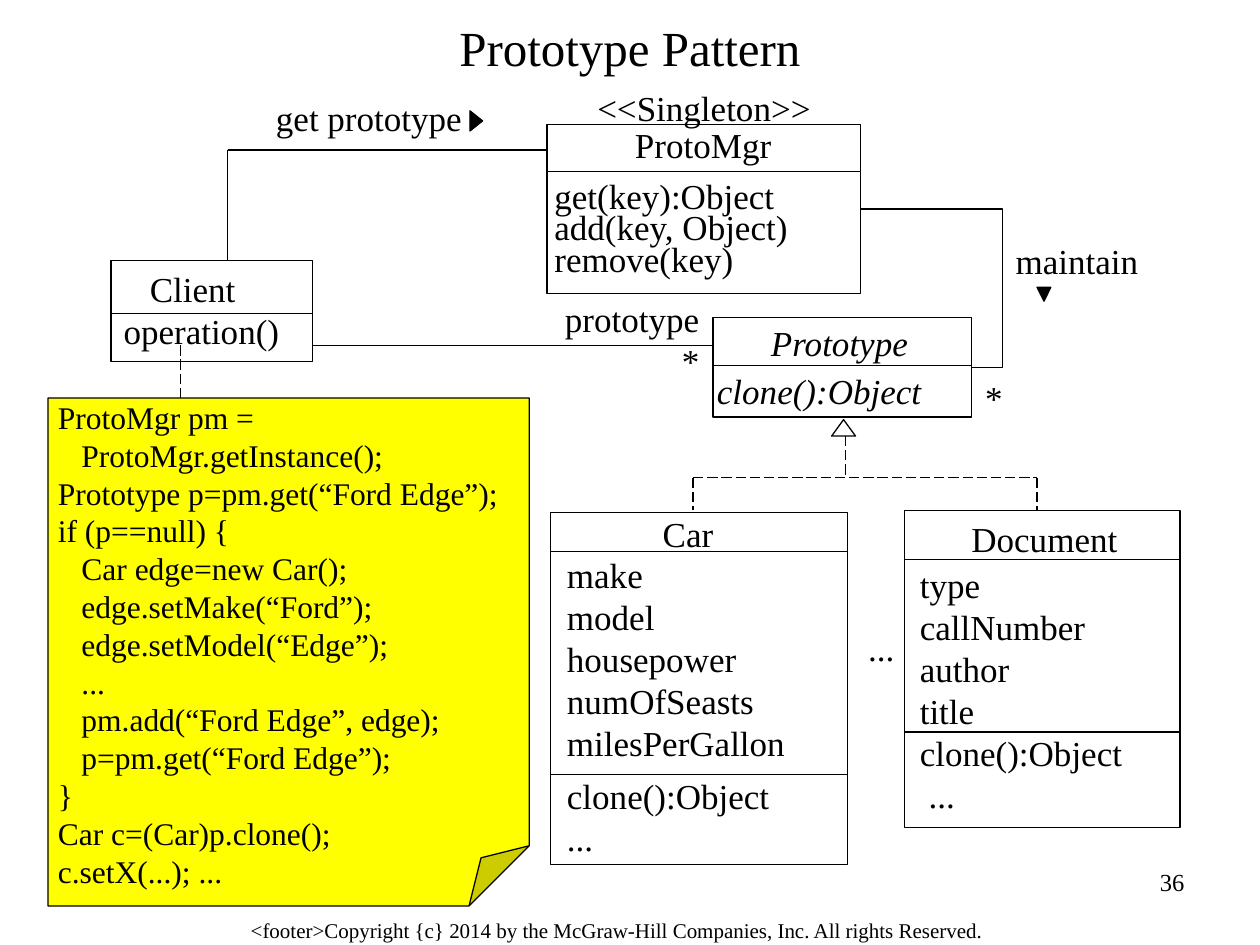
from lxml import etree
from pptx import Presentation
from pptx.dml.color import RGBColor
from pptx.enum.dml import MSO_LINE
from pptx.enum.shapes import MSO_CONNECTOR as Connector, MSO_SHAPE as Shape
from pptx.enum.text import MSO_ANCHOR as Anchor, PP_ALIGN as Align
from pptx.oxml.ns import qn
from pptx.util import Pt

BLACK = RGBColor(0x00, 0x00, 0x00)
YELLOW = RGBColor(0xFF, 0xFF, 0x00)
FONT = "Times New Roman"
LINE_WIDTH = 0.75

NOTE_CODE = """ProtoMgr pm =
   ProtoMgr.getInstance();
Prototype p=pm.get(“Ford Edge”);
if (p==null) {
   Car edge=new Car();
   edge.setMake(“Ford”);
   edge.setModel(“Edge”);
   ...
   pm.add(“Ford Edge”, edge);
   p=pm.get(“Ford Edge”);
}
Car c=(Car)p.clone();
c.setX(...); ..."""


def add_text(slide, text, left, top, width, size=20, align=Align.LEFT,
             italic=False, spacing=None, height=None):
    """Add a text box without insets, one paragraph for each line of text."""
    lines = text.split("\n")
    box_height = height or len(lines) * size * 1.2
    box = slide.shapes.add_textbox(Pt(left), Pt(top), Pt(width), Pt(box_height))
    frame = box.text_frame
    frame.word_wrap = True
    frame.margin_left = frame.margin_right = 0
    frame.margin_top = frame.margin_bottom = 0
    frame.vertical_anchor = Anchor.MIDDLE if height else Anchor.TOP
    frame.text = text
    for paragraph in frame.paragraphs:
        paragraph.alignment = align
        paragraph.line_spacing = spacing
        font = paragraph.font
        font.name, font.size, font.italic = FONT, Pt(size), italic
        font.color.rgb = BLACK


def add_outline(slide, kind, left, top, width, height, fill=None, rotation=0):
    shape = slide.shapes.add_shape(kind, Pt(left), Pt(top), Pt(width), Pt(height))
    shape.shadow.inherit = False
    shape.rotation = rotation
    shape.line.color.rgb = BLACK
    shape.line.width = Pt(LINE_WIDTH)
    if fill is None:
        shape.fill.background()
    else:
        shape.fill.solid()
        shape.fill.fore_color.rgb = fill
    return shape


def add_line(slide, x1, y1, x2, y2, dashed=False, kind=Connector.STRAIGHT):
    line = slide.shapes.add_connector(kind, Pt(x1), Pt(y1), Pt(x2), Pt(y2))
    line.line.color.rgb = BLACK
    line.line.width = Pt(LINE_WIDTH)
    if dashed:
        line.line.dash_style = MSO_LINE.LONG_DASH
    etree.SubElement(line._element.spPr, qn("a:effectLst"))
    return line


def set_adjustment(shape, name, share):
    geometry = shape._element.spPr.find(qn("a:prstGeom"))
    etree.SubElement(geometry.find(qn("a:avLst")), qn("a:gd"), name=name,
                     fmla=f"val {round(share * 100000)}")


def add_class_box(slide, left, top, width, height, *dividers):
    """Add a class rectangle with a line across it at each divider height."""
    add_outline(slide, Shape.RECTANGLE, left, top, width, height)
    for y in dividers:
        add_line(slide, left, y, left + width, y)


def add_classes(slide):
    add_class_box(slide, 312.5, 71.3, 179.3, 96.5, 97.9)
    add_text(slide, "<<Singleton>>", 341.3, 49.7, 135)
    add_text(slide, "ProtoMgr", 350, 70.6, 103.7, align=Align.CENTER)
    add_text(slide, "get(key):Object\nadd(key, Object)\nremove(key)",
             316.8, 105.1, 160, spacing=0.75)

    add_class_box(slide, 63.4, 149, 115.2, 57.6, 179.3)
    add_text(slide, "Client", 85.6, 152.6, 80)
    add_text(slide, "operation()", 70.6, 176.6, 105)

    add_class_box(slide, 407.5, 181.4, 147.6, 56.9, 208.8)
    add_text(slide, "Prototype", 440.6, 183.6, 100, italic=True)
    add_text(slide, "clone():Object", 409.7, 211, 140, italic=True)

    add_class_box(slide, 314.6, 293, 169.9, 200.9, 315, 442.4)
    add_text(slide, "Car", 378.7, 293, 50)
    add_text(slide, "make\nmodel\nhousepower\nnumOfSeasts\nmilesPerGallon",
             324, 316.1, 150)
    add_text(slide, "clone():Object\n...", 324, 442.8, 150)

    add_class_box(slide, 517, 291.6, 157.3, 181.4, 319.7, 418.3)
    add_text(slide, "Document", 555.1, 295.9, 105)
    add_text(slide, "type\ncallNumber\nauthor\ntitle\nclone():Object",
             525.6, 321.8, 140)
    add_text(slide, "...", 530.6, 441.8, 40)
    add_text(slide, "...", 496.1, 357.8, 18)


def add_associations(slide):
    add_line(slide, 130.1, 85.7, 312.5, 85.7)
    add_line(slide, 130.1, 85.7, 130.1, 149)
    add_text(slide, "get prototype", 157.7, 55.4, 112)
    add_outline(slide, Shape.ISOSCELES_TRIANGLE, 266.4, 65.5, 11.5, 7.2, BLACK, 90)

    elbow = add_line(slide, 555.1, 210.2, 491.8, 119.5, kind=Connector.ELBOW)
    set_adjustment(elbow, "adj1", -0.28)
    add_text(slide, "maintain", 580.3, 136.8, 90)
    add_outline(slide, Shape.ISOSCELES_TRIANGLE, 592.6, 164.2, 7.9, 7.9, BLACK, 180)
    add_text(slide, "*", 563, 215.3, 15)

    add_line(slide, 178.6, 197.3, 408, 197.3)
    add_text(slide, "prototype\n*", 310, 169.9, 89.6, align=Align.RIGHT)


def add_inheritance(slide):
    bar_y, root_x, child_xs = 272.9, 483.1, (396, 592.6)
    add_outline(slide, Shape.ISOSCELES_TRIANGLE, 475.2, 239.8, 13.7, 9.4)
    add_line(slide, root_x, 249.1, root_x, bar_y, dashed=True)
    add_line(slide, child_xs[0], bar_y, child_xs[1], bar_y, dashed=True)
    for x in child_xs:
        add_line(slide, x, bar_y, x, 291.6, dashed=True)


def add_note(slide):
    note = add_outline(slide, Shape.FOLDED_CORNER, 27.4, 227.5, 275, 290.2, YELLOW)
    set_adjustment(note, "adj", 0.125)
    add_text(slide, NOTE_CODE, 33.1, 227.5, 266.4, size=18)
    add_line(slide, 103, 197.3, 103, 227.5, dashed=True)


def main():
    presentation = Presentation()
    presentation.slide_width, presentation.slide_height = Pt(720), Pt(540)
    slide = presentation.slides.add_slide(presentation.slide_layouts[6])
    add_text(slide, "Prototype Pattern", 36, 0, 648, size=28,
             align=Align.CENTER, height=54)
    add_classes(slide)
    add_associations(slide)
    add_inheritance(slide)
    add_note(slide)
    add_text(slide, "36", 523.4, 495.4, 153.4, size=14, align=Align.RIGHT)
    add_text(slide, "<footer>Copyright {c} 2014 by the McGraw-Hill Companies, "
             "Inc. All rights Reserved.", 143.3, 524.2, 440, size=12)
    presentation.save("out.pptx")


if __name__ == "__main__":
    main()
